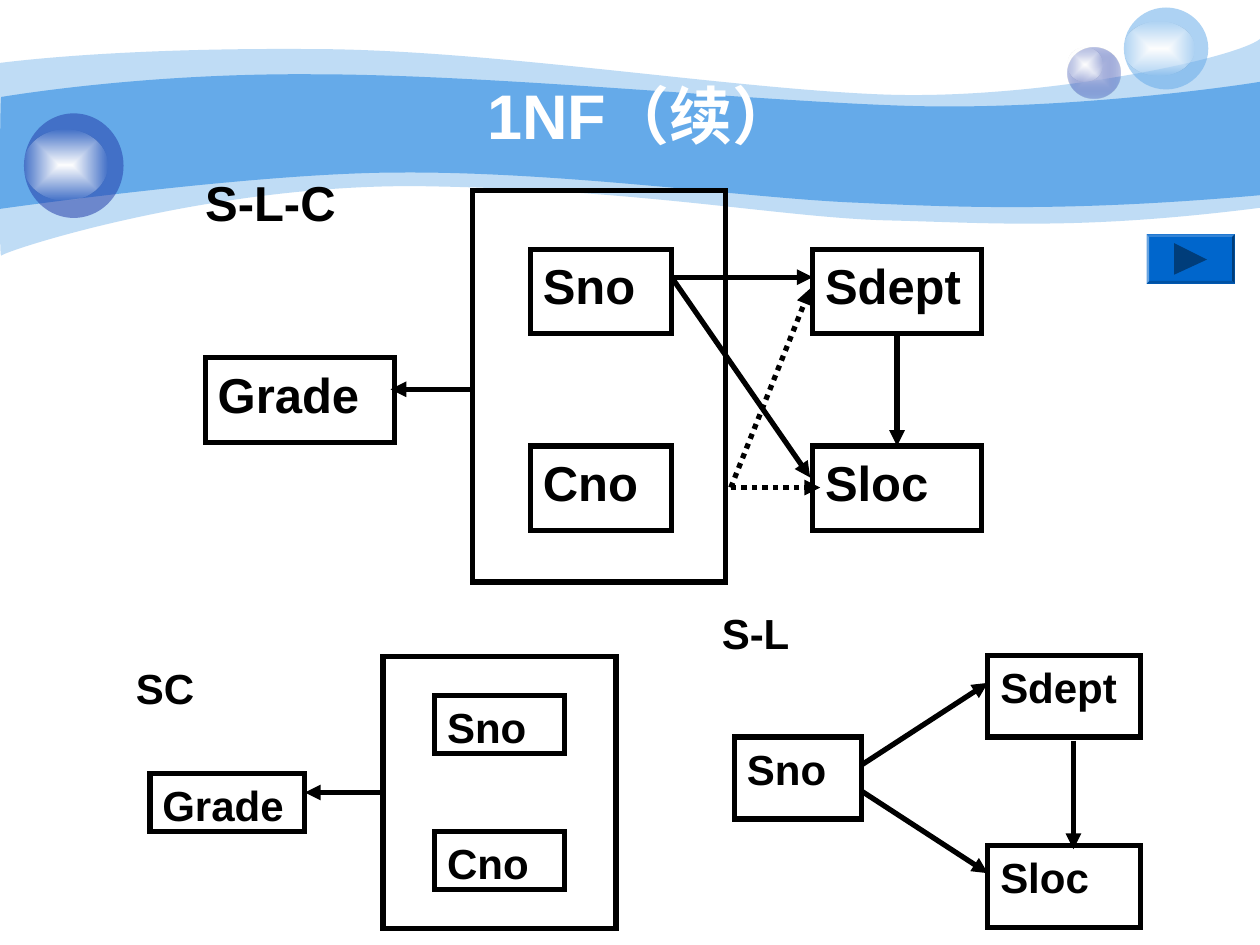
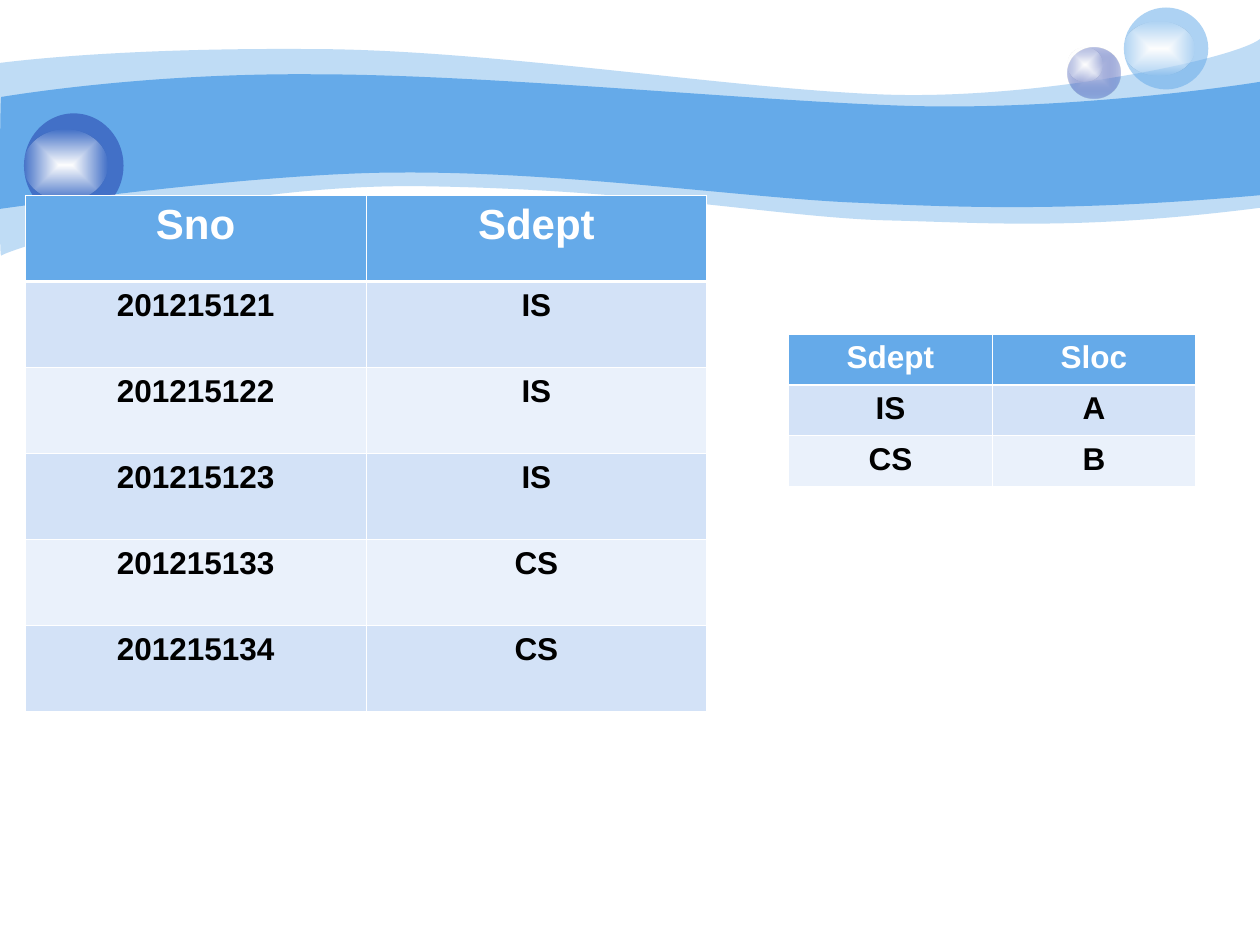
from dataclasses import dataclass
from lxml.etree import SubElement, fromstring
from pptx import Presentation
from pptx.dml.color import RGBColor
from pptx.enum.dml import MSO_LINE
from pptx.enum.shapes import MSO_CONNECTOR, MSO_SHAPE
from pptx.enum.text import MSO_ANCHOR, PP_ALIGN
from pptx.oxml.ns import nsdecls, qn
from pptx.util import Inches, Pt


@dataclass(frozen=True)
class Theme:
    font: str = "Arial"
    ink: str = "000000"
    white: str = "FFFFFF"
    sky: str = "65AAE9"
    navy: str = "233DA9"
    lilac: str = "C7CEE9"
    button: str = "0066CC"
    stripes: tuple = ("D3E2F7", "EAF1FB")
    title: int = 36
    large: int = 28
    medium: int = 24
    body: int = 18
    stroke: float = 3
    cell_line: float = 0.45
    header_line: float = 1.47


THEME = Theme()
TITLE, TITLE_AT = " 1NF（续）", (0.98, 0.6, 8.08, 0.62)
TOP, LEFT, BOTTOM, RIGHT = 0, 1, 2, 3

# Outlines: a pair is a straight step, six numbers are a Bézier step.
PALE_BAND_AT = (-0.01, 0.31, 10.01, 1.77)
PALE_BAND = [
    (0, 0.5), (0.24, 0.47, 1.07, 0.38, 2.47, 0.39),
    (3.86, 0.39, 5.75, 0.7, 6.99, 0.75), (8.22, 0.8, 9.8, 0.47, 10, 0.31),
    (10, 1.65), (8.58, 1.83, 7.87, 1.77, 7.05, 1.75),
    (6.22, 1.73, 5.15, 1.51, 3.43, 1.48),
    (1.72, 1.44, 0.04, 1.99, 0.01, 2.03), (-0.01, 2.08, 0, 0.75, 0, 0.5)]
DEEP_BAND_AT = (-0.02, 0.58, 10.02, 1.1)
DEEP_BAND = [
    (0.01, 0.77), (0.02, 0.77, 1.1, 0.58, 2.48, 0.59),
    (3.86, 0.59, 5.95, 0.8, 7.18, 0.84), (8.41, 0.88, 9.76, 0.69, 10, 0.65),
    (10, 1.55), (8.53, 1.68, 7.65, 1.65, 6.82, 1.61),
    (5.99, 1.58, 4.47, 1.36, 3.17, 1.37),
    (2.03, 1.37, -0.02, 1.66, -0.01, 1.66), (0, 1.66, 0, 0.77, 0.01, 0.77)]
# Ball, its colour stops (colour, opacity %), and the glint on it.
BALLS = [
    ((8.47, 0.38, 0.42, 0.4), [(THEME.lilac, 100), (THEME.navy, 31)],
     (8.47, 0.38, 0.28, 0.27)),
    ((8.92, 0.06, 0.67, 0.65), [(THEME.sky, 53)], (8.92, 0.17, 0.56, 0.43)),
    ((0.19, 0.9, 0.79, 0.83), [(THEME.navy, 53)], (0.19, 1.03, 0.66, 0.56)),
]
GLINT = [(THEME.white, 100), (THEME.white, 0)]

# Columns are (left, width), rows are tops; an arrow end is a point or (box, side).
DIAGRAMS = [
    dict(label="S-L-C", label_at=(1.53, 1.32, 1.59, 0.58), size=THEME.large,
         key_frame=(3.75, 1.51, 2.01, 3.11), box_height=0.67,
         columns=[(1.63, 1.5), (4.21, 1.12), (6.45, 1.34)],
         rows=[1.98, 2.84, 3.54],
         boxes={"Sno": (1, 0), "Cno": (1, 2), "Grade": (0, 1),
                "Sdept": (2, 0), "Sloc": (2, 2)},
         arrows=[((3.77, 3.09), (3.1, 3.09)), ((5.33, 2.2), (6.45, 2.2)),
                 ((5.33, 2.2), (6.43, 3.79)),
                 (("Sdept", BOTTOM), ("Sloc", TOP))],
         partial=[((5.8, 3.87), (6.43, 2.29)), ((5.8, 3.87), (6.51, 3.87))]),
    dict(label="SC", label_at=(0.98, 5.21, 1.03, 0.46), size=THEME.medium,
         key_frame=(3.04, 5.21, 1.85, 2.16), box_height=0.46,
         columns=[(1.19, 1.23), (3.45, 1.03)], rows=[5.52, 6.14, 6.6],
         boxes={"Sno": (1, 0), "Cno": (1, 2), "Grade": (0, 1)},
         arrows=[(("key", LEFT), (2.42, 6.29))]),
    dict(label="S-L", label_at=(5.63, 4.77, 1.21, 0.65), size=THEME.medium,
         box_height=0.65, columns=[(5.83, 1.01), (7.84, 1.21)],
         rows=[5.2, 5.85, 6.71],
         boxes={"Sno": (0, 1), "Sdept": (1, 0), "Sloc": (1, 2)},
         arrows=[((6.84, 6.07), (7.84, 5.42)), ((6.84, 6.28), (7.84, 6.93)),
                 ((8.52, 5.88), (8.52, 6.74))]),
]
NEXT_BUTTON, NEXT_EDGE = (9.1, 1.86, 0.7, 0.39), 0.02
NEXT_ARROW = [(9.32, 1.93), (9.58, 2.06), (9.32, 2.18)]
EDGE_SHADES = ("lightenLess", "darken", "darkenLess", "lighten")

TABLES = [
    dict(at=(0.2, 1.55, 5.41, 4.1), header_size=THEME.medium,
         rows=[("Sno", "Sdept"), ("201215121", "IS"), ("201215122", "IS"),
               ("201215123", "IS"), ("201215133", "CS"), ("201215134", "CS")]),
    dict(at=(6.26, 2.65, 3.23, 1.21), header_size=THEME.body,
         rows=[("Sdept", "Sloc"), ("IS", "A"), ("CS", "B")]),
]


def inches(values):
    return [Inches(value) for value in values]


def paint(shape, stops):
    """Fill without outline: one stop is solid, two run from centre to edge."""
    shape.shadow.inherit = False
    shape.line.fill.background()
    colours = []
    for colour, opacity in stops:
        alpha = f'<a:alpha val="{opacity * 1000}"/>' if opacity < 100 else ""
        colours.append(f'<a:srgbClr val="{colour}">{alpha}</a:srgbClr>')
    if len(colours) == 1:
        fill = f'<a:solidFill {nsdecls("a")}>{colours[0]}</a:solidFill>'
    else:
        fill = (f'<a:gradFill {nsdecls("a")}><a:gsLst><a:gs pos="0">{colours[0]}</a:gs>'
                f'<a:gs pos="100000">{colours[1]}</a:gs></a:gsLst><a:path path="rect">'
                '<a:fillToRect l="50000" t="50000" r="50000" b="50000"/>'
                '</a:path></a:gradFill>')
    shape.fill.background()
    properties = shape.element.spPr
    properties.replace(properties.find(qn("a:noFill")), fromstring(fill))
    return shape


def add_outlines(shapes, at, outlines, colour, opacity=100):
    """Draw (outline, shade) pairs as the curved paths of one freeform."""
    left, top, width, height = inches(at)
    builder = shapes.build_freeform(left, top)
    builder.add_line_segments([(left + width, top + height)])
    shape = builder.convert_to_shape()
    path_list = shape.element.spPr.find(qn("a:custGeom")).find(qn("a:pathLst"))
    path_list.clear()
    for outline, shade in outlines:
        path = SubElement(path_list, qn("a:path"), w=str(width), h=str(height), fill=shade)
        for order, step in enumerate(outline):
            kind = "moveTo" if order == 0 else "lnTo" if len(step) == 2 else "cubicBezTo"
            move = SubElement(path, qn(f"a:{kind}"))
            for x, y in zip(step[::2], step[1::2]):
                SubElement(move, qn("a:pt"), x=str(Inches(x) - left), y=str(Inches(y) - top))
        SubElement(path, qn("a:close"))
    return paint(shape, [(colour, opacity)])


def add_ball(shapes, at, stops):
    return paint(shapes.add_shape(MSO_SHAPE.OVAL, *inches(at)), stops)


def decorate_master(master, shapes):
    """Draw the bands and balls through a slide, then move them to the master."""
    decoration = [
        add_outlines(shapes, PALE_BAND_AT, [(PALE_BAND, "norm")], THEME.sky, 41),
        add_outlines(shapes, DEEP_BAND_AT, [(DEEP_BAND, "norm")], THEME.sky)]
    for ball, stops, glint in BALLS:
        decoration += [add_ball(shapes, ball, stops), add_ball(shapes, glint, GLINT)]
    for order, part in enumerate(decoration):
        part.element.xpath(".//p:cNvPr")[0].set("id", str(100 + order))
        master.shapes.element.insert(2 + order, part.element)


def write(frame, text, size, colour=THEME.ink, align=PP_ALIGN.JUSTIFY):
    frame.text = text
    paragraph = frame.paragraphs[0]
    paragraph.alignment = align
    font = paragraph.font
    font.name, font.size, font.bold = THEME.font, Pt(size), True
    font.color.rgb = RGBColor.from_string(colour)


def ink_line(line):
    line.color.rgb = RGBColor.from_string(THEME.ink)
    line.width = Pt(THEME.stroke)


def add_box(shapes, at, text="", size=THEME.body):
    box = shapes.add_shape(MSO_SHAPE.RECTANGLE, *inches(at))
    box.shadow.inherit = False
    box.fill.background()
    ink_line(box.line)
    SubElement(box.element.spPr.find(qn("a:ln")), qn("a:miter"), lim="800000")
    if text:
        box.text_frame.vertical_anchor = MSO_ANCHOR.TOP
        write(box.text_frame, text, size)
    return box


def add_arrow(shapes, boxes, ends, dotted=False):
    points = [(0, 0) if end[0] in boxes else end for end in ends]
    arrow = shapes.add_connector(MSO_CONNECTOR.STRAIGHT, *inches(points[0] + points[1]))
    for end, connect in zip(ends, (arrow.begin_connect, arrow.end_connect)):
        if end[0] in boxes:
            connect(boxes[end[0]], end[1])
    ink_line(arrow.line)
    if dotted:
        arrow.line.dash_style = MSO_LINE.ROUND_DOT
    properties = arrow.element.spPr
    SubElement(properties.find(qn("a:ln")), qn("a:tailEnd"), type="triangle")
    SubElement(properties, qn("a:effectLst"))


def add_diagram(shapes, diagram):
    boxes = {}
    if "key_frame" in diagram:
        boxes["key"] = add_box(shapes, diagram["key_frame"])
    for name, (column, row) in diagram["boxes"].items():
        left, width = diagram["columns"][column]
        at = left, diagram["rows"][row], width, diagram["box_height"]
        boxes[name] = add_box(shapes, at, name, diagram["size"])
    for ends in diagram["arrows"]:
        add_arrow(shapes, boxes, ends)
    for ends in diagram.get("partial", []):
        add_arrow(shapes, boxes, ends, dotted=True)
    label = shapes.add_textbox(*inches(diagram["label_at"])).text_frame
    label.word_wrap = True
    write(label, diagram["label"], diagram["size"])


def corners(left, top, width, height, inset=0):
    """Corners of a rectangle, clockwise from the top left."""
    right, bottom = left + width - inset, top + height - inset
    left, top = left + inset, top + inset
    return [(left, top), (right, top), (right, bottom), (left, bottom)]


def add_next_button(shapes):
    outer, inner = corners(*NEXT_BUTTON), corners(*NEXT_BUTTON, NEXT_EDGE)
    outlines = [(outer, "norm")]
    for i, shade in enumerate(EDGE_SHADES):
        j = (i + 1) % 4
        outlines.append(([outer[i], outer[j], inner[j], inner[i]], shade))
    outlines.append((NEXT_ARROW, "darken"))
    add_outlines(shapes, NEXT_BUTTON, outlines, THEME.button)


def rule_cell(cell, row):
    """Give a cell white borders, heavier between the header and the body."""
    widths = dict(lnL=THEME.cell_line, lnR=THEME.cell_line,
                  lnT=THEME.header_line if row == 1 else THEME.cell_line,
                  lnB=THEME.header_line if row == 0 else THEME.cell_line)
    properties = cell._tc.get_or_add_tcPr()
    for order, (side, width) in enumerate(widths.items()):
        properties.insert(order, fromstring(
            f'<a:{side} {nsdecls("a")} w="{Pt(width)}"><a:solidFill>'
            f'<a:srgbClr val="{THEME.white}"/></a:solidFill></a:{side}>'))


def add_data_table(shapes, data):
    rows = data["rows"]
    left, top, width, height = inches(data["at"])
    table = shapes.add_table(len(rows), len(rows[0]), left, top, width, height).table
    table.horz_banding = False
    for r, values in enumerate(rows):
        if r == 0:
            fill, colour, size = THEME.sky, THEME.white, data["header_size"]
        else:
            fill, colour, size = THEME.stripes[(r - 1) % 2], THEME.ink, THEME.body
        for c, value in enumerate(values):
            cell = table.cell(r, c)
            cell.fill.solid()
            cell.fill.fore_color.rgb = RGBColor.from_string(fill)
            rule_cell(cell, r)
            write(cell.text_frame, value, size, colour, PP_ALIGN.CENTER)


def main():
    prs = Presentation()
    prs.slide_width, prs.slide_height = inches((10, 7.5))
    title_only, blank = prs.slide_layouts[5], prs.slide_layouts[6]

    dependencies = prs.slides.add_slide(title_only)
    decorate_master(prs.slide_master, dependencies.shapes)
    title = dependencies.shapes.title
    title.left, title.top, title.width, title.height = inches(TITLE_AT)
    title.text_frame.vertical_anchor = MSO_ANCHOR.MIDDLE
    write(title.text_frame, TITLE, THEME.title, THEME.white, PP_ALIGN.CENTER)
    for diagram in DIAGRAMS:
        add_diagram(dependencies.shapes, diagram)
    add_next_button(dependencies.shapes)

    relations = prs.slides.add_slide(blank)
    for data in TABLES:
        add_data_table(relations.shapes, data)
    prs.save("out.pptx")


if __name__ == "__main__":
    main()
